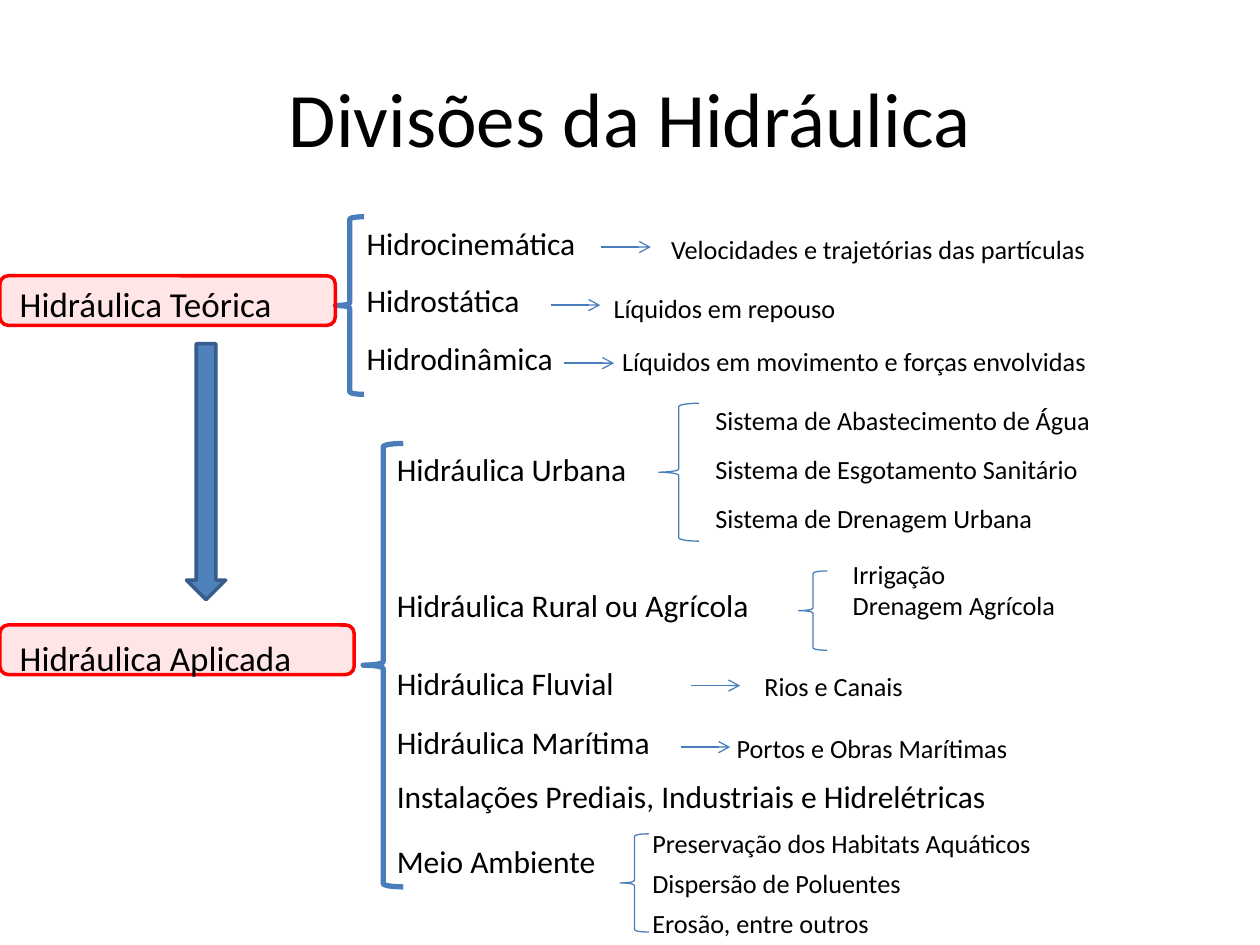
from collections import namedtuple
from dataclasses import dataclass

from lxml.etree import SubElement
from pptx import Presentation
from pptx.dml.color import RGBColor
from pptx.enum.shapes import MSO_CONNECTOR, MSO_SHAPE
from pptx.enum.text import MSO_ANCHOR, PP_ALIGN
from pptx.oxml.ns import qn
from pptx.util import Cm, Pt


@dataclass(frozen=True)
class Theme:
    font: str = "Calibri"
    text: RGBColor = RGBColor(0, 0, 0)
    link: RGBColor = RGBColor(0x4A, 0x7E, 0xBB)
    arrow_fill: RGBColor = RGBColor(0x4F, 0x81, 0xBD)
    arrow_line: RGBColor = RGBColor(0x38, 0x5D, 0x8A)
    accent: RGBColor = RGBColor(0xFF, 0, 0)
    title: int = 44
    heading: int = 20
    topic: int = 18
    detail: int = 15
    thin: float = 0.75
    medium: float = 2
    thick: float = 3


THEME = Theme()
Box = namedtuple("Box", "x y w h")
Topic = namedtuple("Topic", "label y w")
Arrow = namedtuple("Arrow", "x y detail_x detail_y w text")
Branch = namedtuple("Branch", "brace x y w step boxes")


def place(box, x, y, w, h):
    return Cm(box.x + x), Cm(box.y + y), Cm(w), Cm(h)


def write(tf, lines, size, align=PP_ALIGN.LEFT):
    tf.word_wrap = True
    for i, line in enumerate(lines):
        p = tf.paragraphs[0] if i == 0 else tf.add_paragraph()
        p.alignment = align
        r = p.add_run()
        r.text = line
        r.font.name = THEME.font
        r.font.size = Pt(size)
        r.font.color.rgb = THEME.text


def add_text(s, pos, lines, size):
    sp = s.shapes.add_textbox(*pos)
    write(sp.text_frame, lines, size)
    return sp


def add_outline(s, kind, pos, color, width):
    sp = s.shapes.add_shape(kind, *pos)
    sp.shadow.inherit = False
    sp.fill.background()
    sp.line.color.rgb = color
    sp.line.width = Pt(width)
    return sp


def add_brace(s, pos, width):
    add_outline(s, MSO_SHAPE.LEFT_BRACE, pos, THEME.link, width)


def add_arrow(s, box, x, y):
    left, top, length, _ = place(box, x, y, 1, 0)
    cx = s.shapes.add_connector(MSO_CONNECTOR.STRAIGHT, left, top, left + length, top)
    cx.line.color.rgb = THEME.link
    cx.line.width = Pt(THEME.thin)
    SubElement(cx.line._get_or_add_ln(), qn("a:tailEnd"), type="arrow")
    SubElement(cx._element.spPr, qn("a:effectLst"))


def add_title(s, box, text):
    sp = s.shapes.add_textbox(*place(box, 0, 0, box.w, box.h))
    sp.text_frame.vertical_anchor = MSO_ANCHOR.MIDDLE
    write(sp.text_frame, [text], THEME.title, PP_ALIGN.CENTER)


def add_heading(s, box, text, inset):
    sp = add_outline(s, MSO_SHAPE.ROUNDED_RECTANGLE, place(box, 0, 0, box.w, box.h),
                     THEME.accent, THEME.medium)
    sp.fill.solid()
    sp.fill.fore_color.rgb = THEME.accent
    color = sp._element.spPr.find(qn("a:solidFill"))[0]
    SubElement(color, qn("a:alpha"), val="10000")
    tf = sp.text_frame
    tf.margin_left, tf.margin_top, tf.margin_bottom = Cm(0.35), Cm(inset), 0
    tf.vertical_anchor = MSO_ANCHOR.TOP
    write(tf, [text], THEME.heading)


def add_division(s, box, brace, topic_x, topics, arrows, branches=()):
    add_brace(s, place(box, *brace), THEME.thick)
    for t in topics:
        add_text(s, place(box, topic_x, t.y, t.w, 1.02), [t.label], THEME.topic)
    for a in arrows:
        add_arrow(s, box, a.x, a.y)
        add_text(s, place(box, a.detail_x, a.detail_y, a.w, 0.89), [a.text], THEME.detail)
    for b in branches:
        add_brace(s, place(box, *b.brace), THEME.thin)
        for i, lines in enumerate(b.boxes):
            pos = place(box, b.x, b.y + i * b.step, b.w, 0.25 + 0.64 * len(lines))
            add_text(s, pos, lines, THEME.detail)


def add_down_arrow(s, box):
    sp = add_outline(s, MSO_SHAPE.DOWN_ARROW, place(box, 0, 0, box.w, box.h),
                     THEME.arrow_line, THEME.medium)
    sp.fill.solid()
    sp.fill.fore_color.rgb = THEME.arrow_fill


def main():
    prs = Presentation()
    prs.slide_width, prs.slide_height = Cm(25.4), Cm(19.05)
    s = prs.slides.add_slide(prs.slide_layouts[6])

    add_title(s, Box(1.27, 0.76, 22.86, 3.18), "Divisões da Hidráulica")
    add_division(
        s, Box(6.76, 4.37, 18, 3.58), Box(0, 0, 0.58, 3.58), 0.38,
        [Topic("Hidrocinemática", 0.02, 5.16),
         Topic("Hidrostática", 1.18, 4.17),
         Topic("Hidrodinâmica", 2.34, 4.95)],
        [Arrow(5.36, 0.61, 6.52, 0.2, 11.13, "Velocidades e trajetórias das partículas"),
         Arrow(4.34, 1.78, 5.36, 1.4, 6.6, "Líquidos em repouso"),
         Arrow(4.62, 2.95, 5.53, 2.46, 11.91, "Líquidos em movimento e forças envolvidas")])
    add_division(
        s, Box(7.32, 8, 17, 11), Box(0, 0.94, 0.81, 8.94), 0.43,
        [Topic("Hidráulica Urbana", 0.94, 6.17),
         Topic("Hidráulica Rural ou Agrícola", 3.68, 9.17),
         Topic("Hidráulica Fluvial", 5.26, 6.17),
         Topic("Hidráulica Marítima", 6.45, 6.35),
         Topic("Instalações Prediais, Industriais e Hidrelétricas", 7.54, 16.28),
         Topic("Meio Ambiente", 8.84, 5.16)],
        [Arrow(6.6, 5.82, 7.84, 5.39, 4.72, "Rios e Canais"),
         Arrow(6.4, 7.06, 7.28, 6.63, 7.98, "Portos e Obras Marítimas")],
        [Branch(Box(5.96, 0.13, 0.81, 2.78), 6.85, 0.03, 9.32, 0.99,
                [["Sistema de Abastecimento de Água"],
                 ["Sistema de Esgotamento Sanitário"],
                 ["Sistema de Drenagem Urbana"]]),
         Branch(Box(8.78, 3.51, 0.58, 1.6), 9.62, 3.12, 4.75, 0,
                [["Irrigação", "Drenagem Agrícola"]]),
         Branch(Box(5.18, 8.81, 0.58, 1.98), 5.58, 8.56, 9.32, 0.8,
                [["Preservação dos Habitats Aquáticos"],
                 ["Dispersão de Poluentes"],
                 ["Erosão, entre outros"]])])
    add_heading(s, Box(0, 5.56, 6.76, 1), "Hidráulica Teórica", 0.08)
    add_heading(s, Box(0, 12.6, 7.14, 1), "Hidráulica Aplicada", 0.18)
    add_down_arrow(s, Box(3.76, 6.93, 0.79, 5.16))

    prs.save("out.pptx")


if __name__ == "__main__":
    main()
